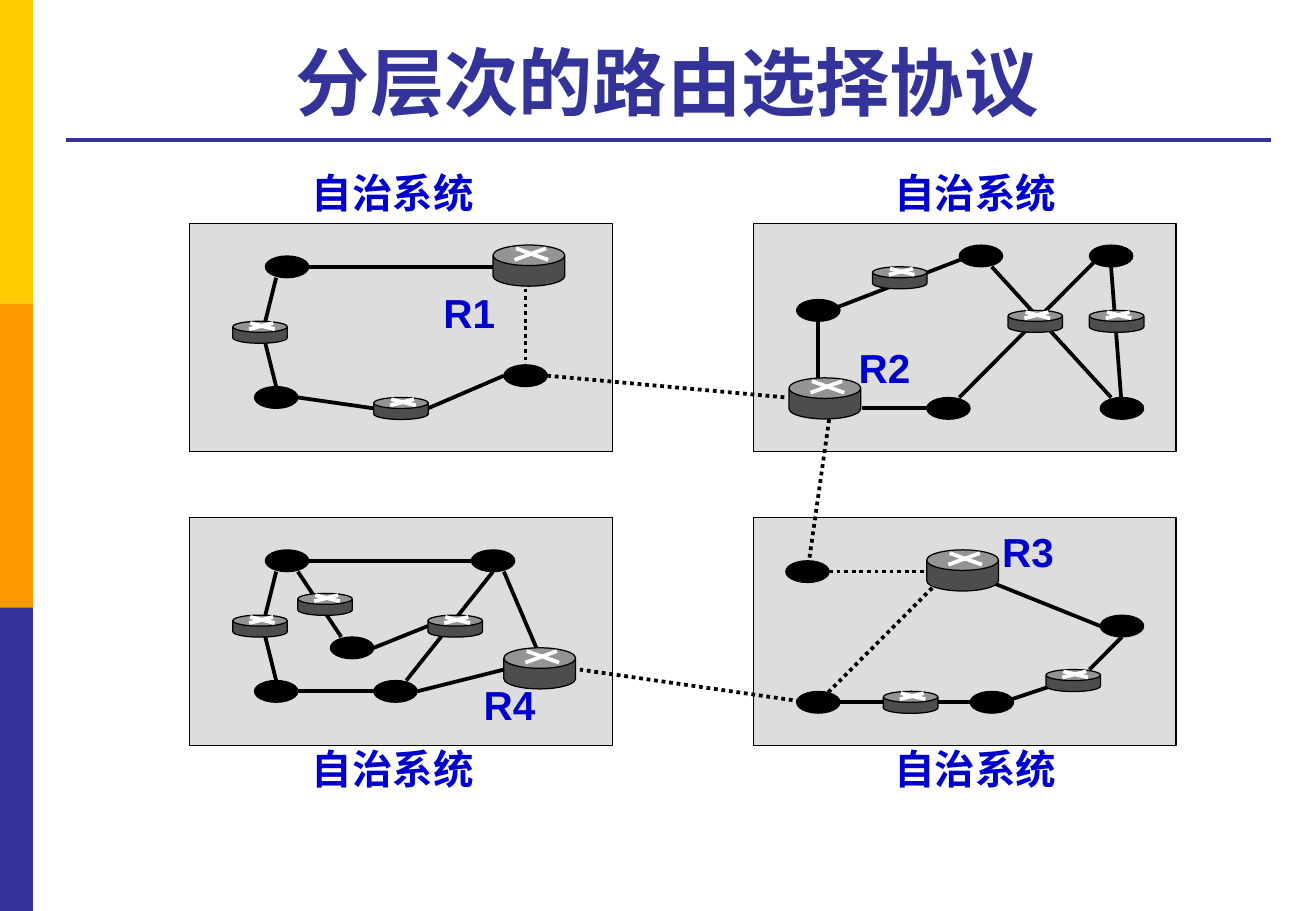
"""Build a slide showing routers in four linked autonomous systems."""
from lxml import etree
from pptx import Presentation
from pptx.dml.color import RGBColor
from pptx.enum import dml, shapes, text
from pptx.oxml import ns
from pptx.util import Cm, Pt

YELLOW = RGBColor(0xFF, 0xCC, 0x00)
ORANGE = RGBColor(0xFF, 0x99, 0x00)
NAVY = RGBColor(0x33, 0x33, 0x99)
BLUE = RGBColor(0x00, 0x00, 0xCC)
BLACK = RGBColor(0x00, 0x00, 0x00)
WHITE = RGBColor(0xFF, 0xFF, 0xFF)
PANEL_GREY = RGBColor(0xDD, 0xDD, 0xDD)
ROUTER_GREY = RGBColor(0x4D, 0x4D, 0x4D)

LEFT, TOP = 3.96, 4.67
PANEL_W, PANEL_H = 8.84, 4.78
COL, ROW = PANEL_W / 39, PANEL_H / 21

PANELS = [(0, 0), (52, 0), (0, 27), (52, 27)]
NODES = [
    (7, 3), (6, 15), (29, 13),
    (56, 7), (68, 16), (84, 16), (71, 2), (83, 2),
    (7, 30), (6, 42), (26, 30), (13, 38), (17, 42),
    (55, 31), (56, 43), (84, 36), (72, 43),
]
SMALL_ROUTERS = [
    (4, 9), (17, 16), (75.5, 8), (63, 4), (83, 8),
    (4, 36), (10, 34), (22, 36), (64, 43), (79, 41),
]
BORDER_ROUTERS = [(28, 2), (55.3, 14.2), (29, 39), (68, 30)]
LINKS = [
    (11, 4, 28, 4), (8, 5, 7, 9), (7, 11, 8, 15),
    (10, 16, 17, 17), (22, 17, 29, 14),
    (74, 4, 85, 16), (72, 3, 59, 8), (85, 4, 86, 17),
    (62, 17, 69, 17), (71, 16, 84, 3), (58, 9, 58, 15),
    (11, 31, 28, 31), (8, 32, 7, 36), (7, 38, 8, 42),
    (10, 43, 17, 43), (21, 43, 29, 41), (10, 32, 14, 38),
    (17, 39, 22, 37), (28, 32, 20, 42), (29, 32, 32, 39),
    (60, 44, 72, 44), (75, 44, 81, 42), (83, 41, 86, 38), (74, 33, 84, 37),
]
DOTTED_LINKS = [
    (31, 6, 31, 13), (59, 32, 68, 32), (69, 33, 58, 44),
    (33, 14, 55, 16), (59, 18, 57, 32), (57, 44, 36, 41),
]
LABELS = [
    ("自治系统", 6.27, 3.38, 3.96), ("自治系统", 18.44, 3.38, 3.96),
    ("自治系统", 6.27, 15.44, 3.96), ("自治系统", 18.44, 15.44, 3.96),
    ("R1", 9.02, 5.89, 1.6), ("R2", 17.7, 7.04, 1.6),
    ("R3", 20.7, 10.9, 1.6), ("R4", 9.86, 14.1, 1.6),
]

prs = Presentation()
prs.slide_width, prs.slide_height = Cm(27.51), Cm(19.05)
s = prs.slides.add_slide(prs.slide_layouts[5])


def add_block(kind, x, y, w, h, fill, outlined=True):
    sp = s.shapes.add_shape(kind, Cm(x), Cm(y), Cm(w), Cm(h))
    sp.shadow.inherit = False
    sp.fill.solid()
    sp.fill.fore_color.rgb = fill
    if outlined:
        sp.line.color.rgb = BLACK
        sp.line.width = Pt(0.75)
    else:
        sp.line.fill.background()
    return sp


def add_line(x1, y1, x2, y2, color):
    ln = s.shapes.add_connector(
        shapes.MSO_CONNECTOR.STRAIGHT, Cm(x1), Cm(y1), Cm(x2), Cm(y2))
    ln.line.color.rgb = color
    ln.line.width = Pt(2.25)
    etree.SubElement(ln._element.spPr, ns.qn("a:effectLst"))
    return ln


for i, color in enumerate([YELLOW, ORANGE, NAVY]):
    add_block(shapes.MSO_SHAPE.RECTANGLE, 0, i * 6.35, 0.69, 6.35, color, False)
add_line(1.37, 2.92, 26.57, 2.92, NAVY)

title = s.shapes.title
title.left, title.top = Cm(1.37), Cm(0.53)
title.width, title.height = Cm(25.17), Cm(2.21)
tf = title.text_frame
tf.text = "分层次的路由选择协议"
tf.auto_size = text.MSO_AUTO_SIZE.NONE
tf.vertical_anchor = text.MSO_ANCHOR.BOTTOM
p = tf.paragraphs[0]
p.alignment = text.PP_ALIGN.CENTER
f = p.runs[0].font
f.name, f.size, f.bold = "Arial", Pt(44), True
f.color.rgb = NAVY

for col, row in PANELS:
    add_block(shapes.MSO_SHAPE.RECTANGLE, LEFT + col * COL, TOP + row * ROW,
              PANEL_W, PANEL_H, PANEL_GREY)

for links, dotted in [(LINKS, False), (DOTTED_LINKS, True)]:
    for c1, r1, c2, r2 in links:
        ln = add_line(LEFT + c1 * COL, TOP + r1 * ROW,
                      LEFT + c2 * COL, TOP + r2 * ROW, BLACK)
        if dotted:
            ln.line.dash_style = dml.MSO_LINE.ROUND_DOT

for col, row in NODES:
    add_block(shapes.MSO_SHAPE.OVAL, LEFT + col * COL, TOP + row * ROW,
              4 * COL, 2 * ROW, BLACK)

for routers, w, h in [(SMALL_ROUTERS, 1.14, 0.46), (BORDER_ROUTERS, 1.5, 0.86)]:
    for col, row in routers:
        x, y = LEFT + col * COL, TOP + row * ROW
        can = add_block(shapes.MSO_SHAPE.CAN, x, y, w, h, ROUTER_GREY)
        can.adjustments[0] = 0.5
        for start, end in [(0.32, 0.77), (0.74, 0.3)]:
            add_line(x + start * w, y + 0.08 * h, x + end * w, y + 0.36 * h, WHITE)

for label, x, y, w in LABELS:
    tf = s.shapes.add_textbox(Cm(x), Cm(y), Cm(w), Cm(1.3)).text_frame
    tf.text = label
    tf.word_wrap = False
    tf.auto_size = text.MSO_AUTO_SIZE.SHAPE_TO_FIT_TEXT
    f = tf.paragraphs[0].runs[0].font
    f.name, f.size, f.bold = "Arial", Pt(24), True
    f.color.rgb = BLUE

prs.save("out.pptx")
